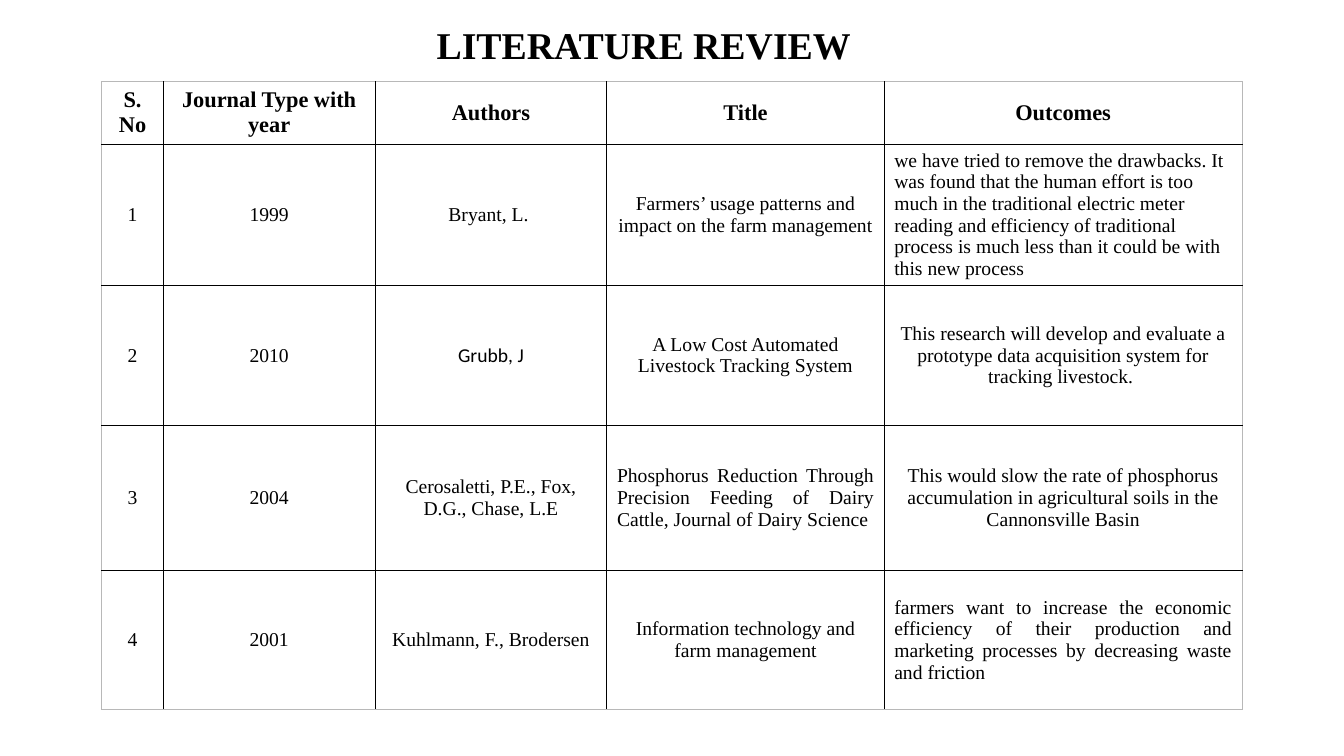
from pptx import Presentation
from pptx.dml.color import RGBColor
from pptx.enum.text import MSO_ANCHOR as Anchor, PP_ALIGN as Align
from pptx.oxml import parse_xml
from pptx.oxml.ns import nsdecls
from pptx.util import Inches, Pt

BLACK = RGBColor(0, 0, 0)
GREY = RGBColor(0xB8, 0xB8, 0xB8)
SERIF = "Times New Roman"
COLS = [0.61, 2.1, 2.3, 2.75, 3.55]
ROWS = [0.62, 1.39, 1.39, 1.44, 1.38]
HEAD = ["S. No", "Journal Type with year", "Authors", "Title", "Outcomes"]
PAPERS = [
    ["1", "1999", "Bryant, L. ",
     "Farmers’ usage patterns and impact on the farm management",
     "we have tried to remove the drawbacks. It was found that the human "
     "effort is too much in the traditional electric meter reading and "
     "efficiency of traditional process is much less than it could be with "
     "this new process"],
    ["2", "2010", "Grubb, J",
     "A Low Cost Automated Livestock Tracking System",
     "This research will develop and evaluate a prototype data acquisition "
     "system for tracking livestock. "],
    ["3", "2004", "Cerosaletti, P.E., Fox, D.G., Chase, L.E",
     "Phosphorus Reduction Through Precision Feeding of Dairy Cattle, "
     "Journal of Dairy Science",
     "This would slow the rate of phosphorus accumulation in agricultural "
     "soils in the Cannonsville Basin"],
    ["4", "2001", "Kuhlmann, F., Brodersen",
     "Information technology and farm management",
     "farmers want to increase the economic efficiency of their production "
     "and marketing processes by decreasing waste and friction"],
]
# Cells (row, column) that differ from the centred serif rule
ALIGNS = {(1, 4): Align.LEFT, (3, 3): Align.JUSTIFY, (4, 4): Align.JUSTIFY}
FONTS = {(2, 2): "Calibri"}


def style(para, size, bold, align=Align.CENTER, face=SERIF):
    para.alignment = align
    font = para.font
    font.name, font.size, font.bold = face, Pt(size), bold
    font.color.rgb = BLACK


def border(cell, r, c):
    props = cell._tc.get_or_add_tcPr()
    # Grey on the outer frame, black inside
    outer = {"lnL": c == 0, "lnR": c == len(COLS) - 1,
             "lnT": r == 0, "lnB": r == len(ROWS) - 1}
    for i, (side, edge) in enumerate(outer.items()):
        # Border lines come before the fill
        props.insert(i, parse_xml(
            f'<a:{side} {nsdecls("a")} w="{Pt(0.75)}"><a:solidFill>'
            f'<a:srgbClr val="{GREY if edge else BLACK}"/>'
            f'</a:solidFill></a:{side}>'))


def add_title(slide, left, top, width, height):
    box = slide.shapes.add_textbox(*map(Inches, (left, top, width, height)))
    frame = box.text_frame
    frame.word_wrap = True
    frame.vertical_anchor = Anchor.MIDDLE
    para = frame.paragraphs[0]
    para.text = "LITERATURE REVIEW"
    para.line_spacing = 0.9
    style(para, 27, True)


def add_review(slide, left, top):
    grid = [HEAD] + PAPERS
    size = map(Inches, (left, top, sum(COLS), sum(ROWS)))
    table = slide.shapes.add_table(len(ROWS), len(COLS), *size).table
    table.first_row = table.horz_banding = False
    for col, width in zip(table.columns, COLS):
        col.width = Inches(width)
    for r, (row, height) in enumerate(zip(table.rows, ROWS)):
        row.height = Inches(height)
        for c, cell in enumerate(row.cells):
            cell.text = grid[r][c]
            cell.vertical_anchor = Anchor.MIDDLE
            cell.margin_top = cell.margin_bottom = 0
            cell.fill.background()
            border(cell, r, c)
            style(cell.text_frame.paragraphs[0], 14 if r else 16, r == 0,
                  ALIGNS.get((r, c), Align.CENTER), FONTS.get((r, c), SERIF))


def main():
    deck = Presentation()
    deck.slide_width, deck.slide_height = Inches(13.33), Inches(7.5)
    slide = deck.slides.add_slide(deck.slide_layouts[6])
    add_title(slide, 1.57, 0.12, 9.63, 0.69)
    add_review(slide, 1.01, 0.81)
    deck.save("out.pptx")


if __name__ == "__main__":
    main()
